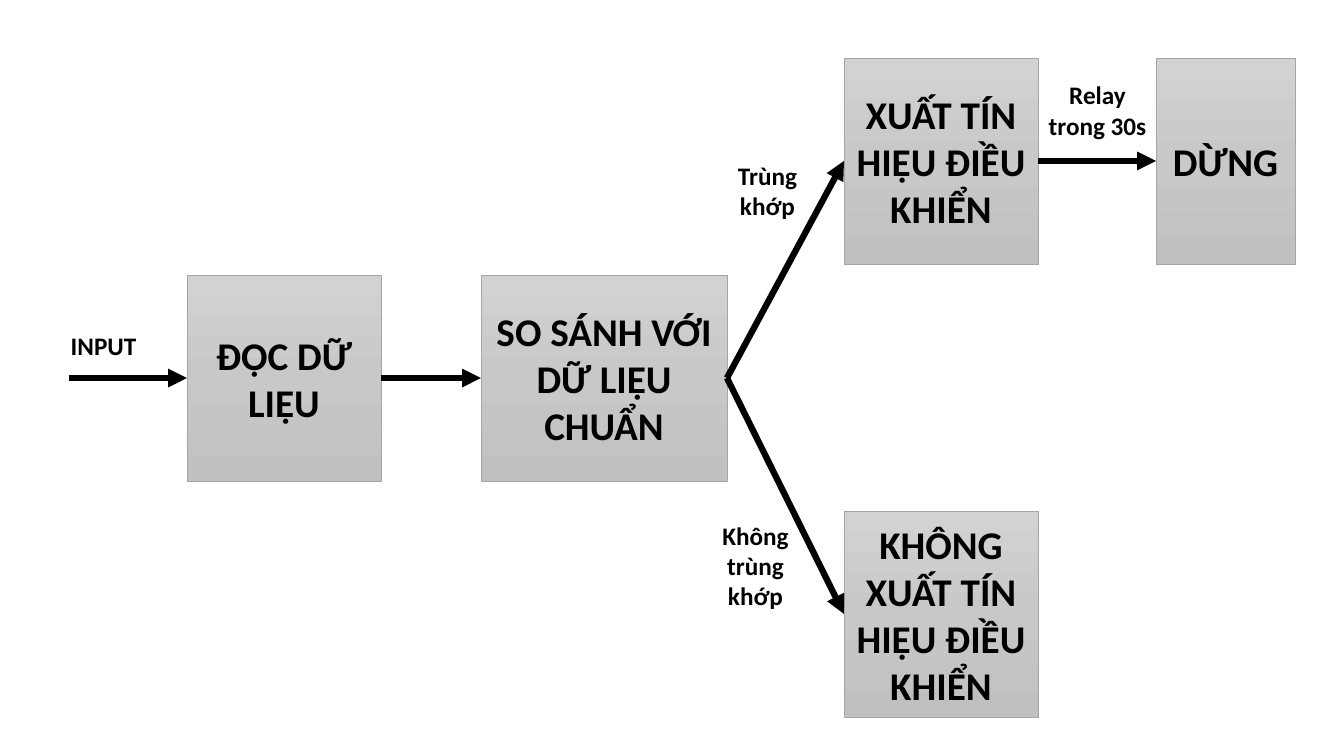
from copy import deepcopy

from pptx import Presentation
from pptx.dml.color import RGBColor
from pptx.enum.shapes import MSO_CONNECTOR, MSO_SHAPE
from pptx.enum.text import MSO_ANCHOR, PP_ALIGN
from pptx.oxml.ns import qn
from pptx.util import Emu, Pt
from lxml import etree

RECT = MSO_SHAPE.RECTANGLE
STRAIGHT = MSO_CONNECTOR.STRAIGHT
MIDDLE = MSO_ANCHOR.MIDDLE
CENTER = PP_ALIGN.CENTER

BLACK = RGBColor(0x00, 0x00, 0x00)
WHITE = RGBColor(0xFF, 0xFF, 0xFF)
BORDER = RGBColor(0xA5, 0xA5, 0xA5)
GRADIENT = [RGBColor(0xD2, 0xD2, 0xD2), RGBColor(0xC8, 0xC8, 0xC8),
            RGBColor(0xC0, 0xC0, 0xC0)]

FONT = "Calibri"
EMU_PER_PX = 914400 / 100.8
SLIDE_W, SLIDE_H = 1344, 756
BOX_W, BOX_H = 194, 206
LABEL_W, LABEL_H = 119, 57
TOP_ROW, MIDDLE_ROW, BOTTOM_ROW = 58, 275, 511
RIGHT_SIDE, LEFT_SIDE = 3, 1  # connection sites of a rectangle


def px(*lengths):
    """Turn pixel lengths into EMU."""
    return [Emu(round(n * EMU_PER_PX)) for n in lengths]


def set_text(sp, text, size=18, color=BLACK, bold=True, align=CENTER):
    """Write one wrapped, vertically centred paragraph into a shape."""
    tf = sp.text_frame
    tf.word_wrap = True
    tf.vertical_anchor = MIDDLE
    p = tf.paragraphs[0]
    p.alignment = align
    r = p.add_run()
    r.text = text
    r.font.name = FONT
    r.font.size = Pt(size)
    r.font.bold = bold
    r.font.color.rgb = color


def add_rect(slide, left, top, width, height):
    """Add a rectangle without shadow."""
    sp = slide.shapes.add_shape(RECT, *px(left, top, width, height))
    sp.shadow.inherit = False
    return sp


def fill_gradient(sp):
    """Fill a shape with the vertical three-stop grey gradient."""
    sp.fill.gradient()
    sp.fill.gradient_angle = 270
    stop_list = sp.element.spPr.find(qn("a:gradFill")).find(qn("a:gsLst"))
    stop_list.insert(1, deepcopy(stop_list[0]))
    for i, (stop, color) in enumerate(zip(sp.fill.gradient_stops, GRADIENT)):
        stop.position = i / 2
        stop.color.rgb = color


def add_step(slide, text, left, top, width=BOX_W):
    """Add one grey process box."""
    sp = add_rect(slide, left, top, width, BOX_H)
    fill_gradient(sp)
    sp.line.color.rgb = BORDER
    sp.line.width = Pt(0.5)
    set_text(sp, text, size=28)
    return sp


def add_label(slide, text, left, top, height=LABEL_H):
    """Add the caption of an arrow."""
    sp = slide.shapes.add_textbox(*px(left, top, LABEL_W, height))
    set_text(sp, text)


def add_input_label(slide, text, left, top):
    """Add the white caption block of the incoming arrow."""
    sp = add_rect(slide, left, top, LABEL_W, LABEL_H)
    sp.fill.solid()
    sp.fill.fore_color.rgb = WHITE
    sp.line.fill.background()
    set_text(sp, text)


def add_arrow(slide, target, source=None, start=(0, 0)):
    """Add an arrow to a box, from another box or from a free point."""
    x, y = px(*start)
    cxn = slide.shapes.add_connector(STRAIGHT, x, y, x, y)
    if source is not None:
        cxn.begin_connect(source, RIGHT_SIDE)
    cxn.end_connect(target, LEFT_SIDE)
    cxn.line.color.rgb = BLACK
    cxn.line.width = Pt(4.5)
    etree.SubElement(cxn.line._get_or_add_ln(), qn("a:tailEnd"), type="triangle")
    etree.SubElement(cxn.element.spPr, qn("a:effectLst"))


def main():
    """Build the control flow slide."""
    prs = Presentation()
    prs.slide_width, prs.slide_height = px(SLIDE_W, SLIDE_H)
    slide = prs.slides.add_slide(prs.slide_layouts[6])

    read = add_step(slide, "ĐỌC DỮ LIỆU", 187, MIDDLE_ROW)
    compare = add_step(slide, "SO SÁNH VỚI DỮ LIỆU CHUẨN", 481, MIDDLE_ROW, 246)
    no_signal = add_step(slide, "KHÔNG XUẤT TÍN HIỆU ĐIỀU KHIỂN", 844, BOTTOM_ROW)
    signal = add_step(slide, "XUẤT TÍN HIỆU ĐIỀU KHIỂN", 844, TOP_ROW)
    stop = add_step(slide, "DỪNG", 1156, TOP_ROW, 139)

    add_input_label(slide, "INPUT", 44, 317)
    add_label(slide, "Không trùng khớp", 696, 537)
    add_label(slide, "Trùng khớp", 708, 162)
    add_label(slide, "Relay trong 30s", 1038, 59, 102)

    add_arrow(slide, read, start=(69, MIDDLE_ROW + BOX_H // 2))
    for source, target in [(read, compare), (compare, signal),
                           (compare, no_signal), (signal, stop)]:
        add_arrow(slide, target, source)

    prs.save("out.pptx")


main()
